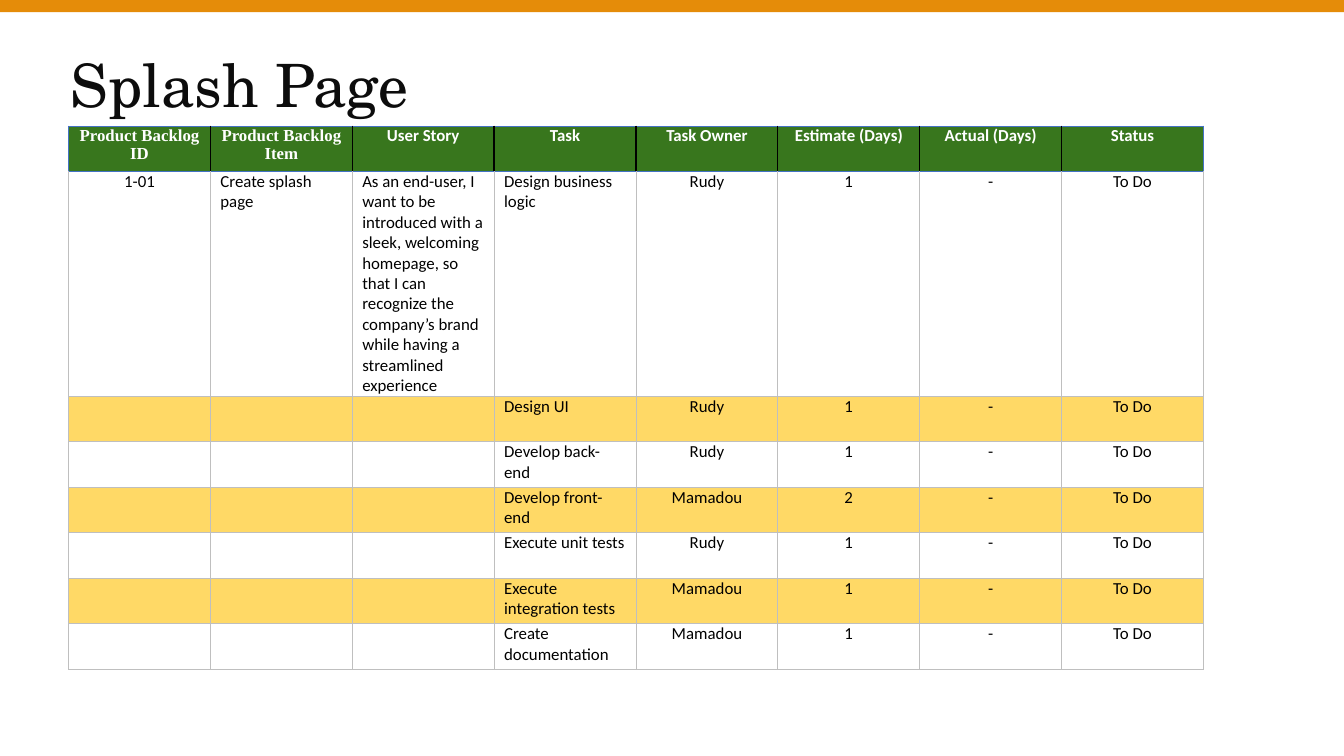
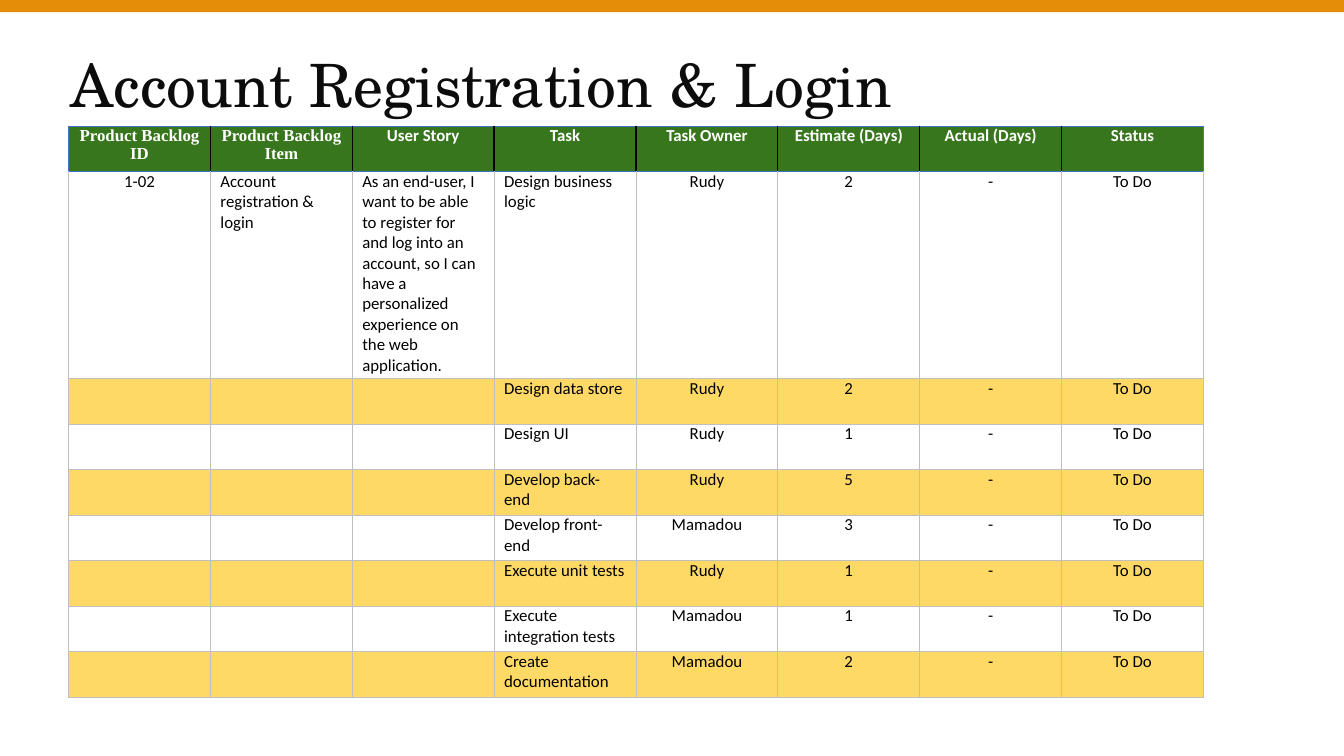
from lxml import etree
from pptx import Presentation
from pptx.dml.color import RGBColor
from pptx.enum.shapes import MSO_SHAPE
from pptx.enum.text import MSO_ANCHOR, MSO_AUTO_SIZE, PP_ALIGN
from pptx.oxml.ns import qn
from pptx.util import Pt

RECT = MSO_SHAPE.RECTANGLE
MIDDLE = MSO_ANCHOR.MIDDLE
FIXED = MSO_AUTO_SIZE.NONE
LEFT, CENTER = PP_ALIGN.LEFT, PP_ALIGN.CENTER

WIDE, HIGH = 720, 405
BAND_BOX = (0, 0, WIDE, 6.5)
TITLE_BOX = (32.4, 32.4, 656, 30.2)
TABLE_BOX = (36.7, 67.5, 608)
ROW, STORY_ROW = 24.4, 110.9
PAD = 5.4

ORANGE, INK, BLACK, WHITE = "E58C09", "0C0C0C", "000000", "FFFFFF"
GREEN, YELLOW = "38761D", "FFD966"
GRID, EDGE, RULE = ("BFBFBF", 0.5), ("4472C4", 0.5), (BLACK, 0.75)

HEADS = ["Product Backlog ID", "Product Backlog Item", "User Story", "Task",
         "Task Owner", "Estimate (Days)", "Actual (Days)", "Status"]
SERIF_COLS = 2
LEFT_COLS = (1, 2, 3)

SPLASH = {
    "title": "Splash Page",
    "story": ("1-01", "Create splash page",
              "As an end-user, I want to be introduced with a sleek, welcoming "
              "homepage, so that I can recognize the company’s brand while "
              "having a streamlined experience"),
    "tasks": [("Design business logic", "Rudy", 1),
              ("Design UI", "Rudy", 1),
              ("Develop back-end", "Rudy", 1),
              ("Develop front-end", "Mamadou", 2),
              ("Execute unit tests", "Rudy", 1),
              ("Execute integration tests", "Mamadou", 1),
              ("Create documentation", "Mamadou", 1)],
}
LOGIN = {
    "title": "Account Registration & Login",
    "story": ("1-02", "Account registration & login",
              "As an end-user, I want to be able to register for and log into "
              "an account, so I can have a personalized experience on the web "
              "application."),
    "tasks": [("Design business logic", "Rudy", 2),
              ("Design data store", "Rudy", 2),
              ("Design UI", "Rudy", 1),
              ("Develop back-end", "Rudy", 5),
              ("Develop front-end", "Mamadou", 3),
              ("Execute unit tests", "Rudy", 1),
              ("Execute integration tests", "Mamadou", 1),
              ("Create documentation", "Mamadou", 2)],
}


def color(code):
    return RGBColor.from_string(code)


def style(para, face, size, code, bold=False):
    for run in para.runs:
        font = run.font
        font.name, font.size, font.bold = face, Pt(size), bold
        font.color.rgb = color(code)


def add_band(slide, box):
    band = slide.shapes.add_shape(RECT, *map(Pt, box))
    band.shadow.inherit = False
    band.fill.solid()
    band.fill.fore_color.rgb = color(ORANGE)
    band.line.fill.background()


def add_title(slide, box, text):
    title = slide.shapes.title
    title.left, title.top, title.width, title.height = map(Pt, box)
    frame = title.text_frame
    frame.text = text
    frame.word_wrap = True
    frame.auto_size = FIXED
    frame.vertical_anchor = MIDDLE
    frame.margin_left = frame.margin_right = Pt(PAD)
    frame.margin_top = frame.margin_bottom = Pt(PAD / 2)
    para = frame.paragraphs[0]
    para.alignment = LEFT
    para.line_spacing = 0.9
    style(para, "TeX Gyre Schola", 32, INK)


def set_edges(cell, edges):
    props = cell._tc.get_or_add_tcPr()
    for side, (code, width) in zip("LRTB", edges):
        line = etree.SubElement(props, qn("a:ln" + side), w=str(Pt(width)))
        fill = etree.SubElement(line, qn("a:solidFill"))
        etree.SubElement(fill, qn("a:srgbClr"), val=code)


def pick_edges(row, col):
    if row == 0:
        return (RULE if col else EDGE,
                EDGE if col == len(HEADS) - 1 else RULE, EDGE, EDGE)
    return GRID, GRID, EDGE if row == 1 else GRID, GRID


def fill_cell(cell, row, col, text):
    head = row == 0
    cell.margin_left = cell.margin_right = Pt(PAD)
    cell.margin_top = cell.margin_bottom = 0
    set_edges(cell, pick_edges(row, col))
    shade = GREEN if head else YELLOW if row % 2 == 0 else None
    if shade:
        cell.fill.solid()
        cell.fill.fore_color.rgb = color(shade)
    else:
        cell.fill.background()
    para = cell.text_frame.paragraphs[0]
    para.alignment = LEFT if col in LEFT_COLS and not head else CENTER
    if text:
        para.text = text
        face = "Times New Roman" if head and col < SERIF_COLS else "Calibri"
        style(para, face, 9, WHITE if head else BLACK, head)
    else:
        etree.SubElement(para._p, qn("a:endParaRPr"), sz="900")


def add_backlog(slide, box, story, tasks):
    left, top, width = box
    rows = [HEADS]
    for i, (task, owner, days) in enumerate(tasks):
        lead = story if i == 0 else ("", "", "")
        rows.append([*lead, task, owner, str(days), "-", "To Do"])
    sizes = [ROW, STORY_ROW] + [ROW] * (len(tasks) - 1)
    table = slide.shapes.add_table(len(rows), len(HEADS), Pt(left), Pt(top),
                                   Pt(width), Pt(sum(sizes))).table
    table.first_row = table.horz_banding = False
    for col in table.columns:
        col.width = Pt(width / len(HEADS))
    for r, (size, row) in enumerate(zip(sizes, rows)):
        table.rows[r].height = Pt(size)
        for c, text in enumerate(row):
            fill_cell(table.cell(r, c), r, c, text)


def add_page(deck, page):
    slide = deck.slides.add_slide(deck.slide_layouts[5])
    add_band(slide, BAND_BOX)
    add_title(slide, TITLE_BOX, page["title"])
    add_backlog(slide, TABLE_BOX, page["story"], page["tasks"])


def main():
    deck = Presentation()
    deck.slide_width, deck.slide_height = Pt(WIDE), Pt(HIGH)
    for page in (SPLASH, LOGIN):
        add_page(deck, page)
    deck.save("out.pptx")


if __name__ == "__main__":
    main()
